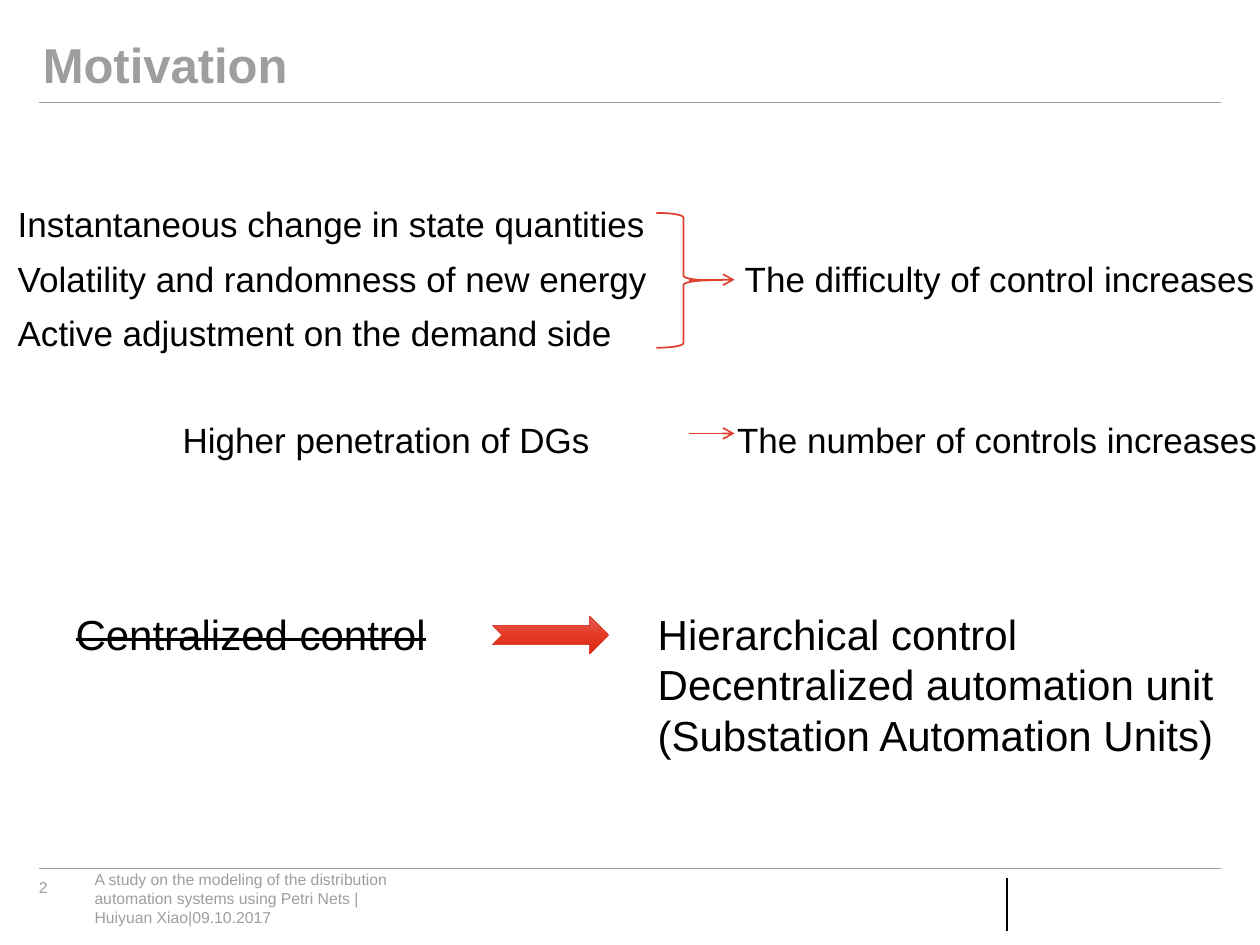
from copy import deepcopy

from pptx import Presentation
from pptx.dml.color import RGBColor
from pptx.enum.shapes import MSO_CONNECTOR, MSO_SHAPE
from pptx.enum.text import MSO_ANCHOR, PP_ALIGN
from pptx.oxml.ns import qn
from pptx.util import Inches, Pt
from lxml.etree import SubElement

GREY = RGBColor(0x9D, 0x9E, 0xA0)
BLACK = RGBColor(0, 0, 0)
RED = RGBColor(0xDD, 0x40, 0x2D)
ARROW_GRADIENT = [
    RGBColor(0xE2, 0x5F, 0x55),
    RGBColor(0xE6, 0x39, 0x24),
    RGBColor(0xD6, 0x2B, 0x16),
]
FONT = "Arial"


def place(shape, left, top, width, height):
    shape.left, shape.top = Inches(left), Inches(top)
    shape.width, shape.height = Inches(width), Inches(height)


def clear_margins(frame):
    frame.margin_left = frame.margin_right = 0
    frame.margin_top = frame.margin_bottom = 0
    frame.word_wrap = True


def add_run(paragraph, text, size, color, bold=False):
    run = paragraph.add_run()
    run.text = text
    font = run.font
    font.name, font.size, font.bold = FONT, Pt(size), bold
    font.color.rgb = color
    return run


def set_tabs(paragraph, positions):
    """Add left tab stops, measured in inches from the box edge."""
    tab_list = SubElement(paragraph._p.get_or_add_pPr(), qn("a:tabLst"))
    for position in positions:
        SubElement(tab_list, qn("a:tab"), pos=str(Inches(position)), algn="l")


def add_text_box(slide, left, top, width, height):
    frame = slide.shapes.add_textbox(
        Inches(left), Inches(top), Inches(width), Inches(height)
    ).text_frame
    clear_margins(frame)
    return frame


def next_paragraph(frame):
    first = frame.paragraphs[0]
    return frame.add_paragraph() if first.runs else first


def add_line(slide, start, end, color, width, arrow=False):
    connector = slide.shapes.add_connector(
        MSO_CONNECTOR.STRAIGHT, *(Inches(value) for value in (*start, *end))
    )
    connector.line.color.rgb = color
    connector.line.width = Pt(width)
    if arrow:
        SubElement(connector.line._get_or_add_ln(), qn("a:tailEnd"), type="arrow")
    SubElement(connector._element.spPr, qn("a:effectLst"))


def add_outlined_shape(slide, kind, left, top, width, height, line_width):
    shape = slide.shapes.add_shape(
        kind, Inches(left), Inches(top), Inches(width), Inches(height)
    )
    shape.shadow.inherit = False
    shape.line.color.rgb = RED
    shape.line.width = Pt(line_width)
    return shape


def fill_gradient(shape, colors):
    """Fill from top to bottom with evenly spaced colours."""
    shape.fill.gradient()
    shape.fill.gradient_angle = 270
    stop_list = shape.fill._fill._gradFill.gsLst
    while len(stop_list) < len(colors):
        stop_list.append(deepcopy(stop_list[-1]))
    for index, (stop, color) in enumerate(zip(shape.fill.gradient_stops, colors)):
        stop.position = index / (len(colors) - 1)
        stop.color.rgb = color


def add_title(slide, text):
    title = slide.shapes.title
    place(title, 0.34, 0.16, 9.37, 0.59)
    frame = title.text_frame
    clear_margins(frame)
    frame.vertical_anchor = MSO_ANCHOR.BOTTOM
    paragraph = frame.paragraphs[0]
    paragraph.alignment = PP_ALIGN.LEFT
    paragraph.line_spacing = 0.9
    add_run(paragraph, text, 28, GREY, bold=True)


def add_footer(slide):
    for top in (0.81, 6.89):
        add_line(slide, (0.31, top), (9.69, top), GREY, 0.5)
    add_line(slide, (7.99, 6.97), (7.99, 7.39), BLACK, 1)
    number = add_text_box(slide, 0.31, 6.97, 0.4, 0.15)
    add_run(number.paragraphs[0], "2", 9, GREY)
    footer = add_text_box(slide, 0.75, 6.9, 2.95, 0.47)
    for text in (
        "A study on the modeling of the distribution automation systems "
        "using Petri Nets |",
        "Huiyuan Xiao|09.10.2017",
    ):
        add_run(next_paragraph(footer), text, 9, GREY)


def add_causes(slide):
    """List each cause, with its effect after a tab."""
    effect_tab = 5.77
    rows = [
        ("Instantaneous change in state quantities", 0, []),
        ("Volatility and randomness of new energy\tThe difficulty of control increases",
         7, [effect_tab]),
        ("Active adjustment on the demand side", 7, []),
        ("\tHigher penetration of DGs\tThe number of controls increases",
         37, [1.31, effect_tab - 0.06]),
    ]
    frame = add_text_box(slide, 0.14, 1.61, 9.86, 2.3)
    for text, space_before, tabs in rows:
        paragraph = next_paragraph(frame)
        if tabs:
            set_tabs(paragraph, tabs)
        paragraph.space_before = Pt(space_before)
        add_run(paragraph, text, 20, BLACK)

    brace = add_outlined_shape(
        slide, MSO_SHAPE.RIGHT_BRACE, 5.21, 1.69, 0.43, 1.07, 1
    )
    brace.fill.background()
    for top in (2.22, 3.44):
        add_line(slide, (5.47, top), (5.83, top), RED, 1, arrow=True)


def add_control_shift(slide):
    """Contrast the struck-out concept with its replacements."""
    column = 4.62
    frame = add_text_box(slide, 0.6, 4.83, 9.4, 1.45)
    paragraph = frame.paragraphs[0]
    set_tabs(paragraph, [column])
    rejected = add_run(paragraph, "Centralized control", 24, BLACK)
    rejected.font._element.set("strike", "sngStrike")
    add_run(paragraph, "\tHierarchical control", 24, BLACK)
    for text in ("Decentralized automation unit", "(Substation Automation Units)"):
        paragraph = frame.add_paragraph()
        paragraph._p.get_or_add_pPr().set("marL", str(Inches(column)))
        add_run(paragraph, text, 24, BLACK)

    arrow = add_outlined_shape(
        slide, MSO_SHAPE.NOTCHED_RIGHT_ARROW, 3.91, 4.89, 0.92, 0.3, 0.5
    )
    fill_gradient(arrow, ARROW_GRADIENT)


def main():
    presentation = Presentation()
    presentation.slide_width, presentation.slide_height = Inches(10), Inches(7.5)
    slide = presentation.slides.add_slide(presentation.slide_layouts[5])
    add_title(slide, "Motivation")
    add_footer(slide)
    add_causes(slide)
    add_control_shift(slide)
    presentation.save("out.pptx")


if __name__ == "__main__":
    main()
